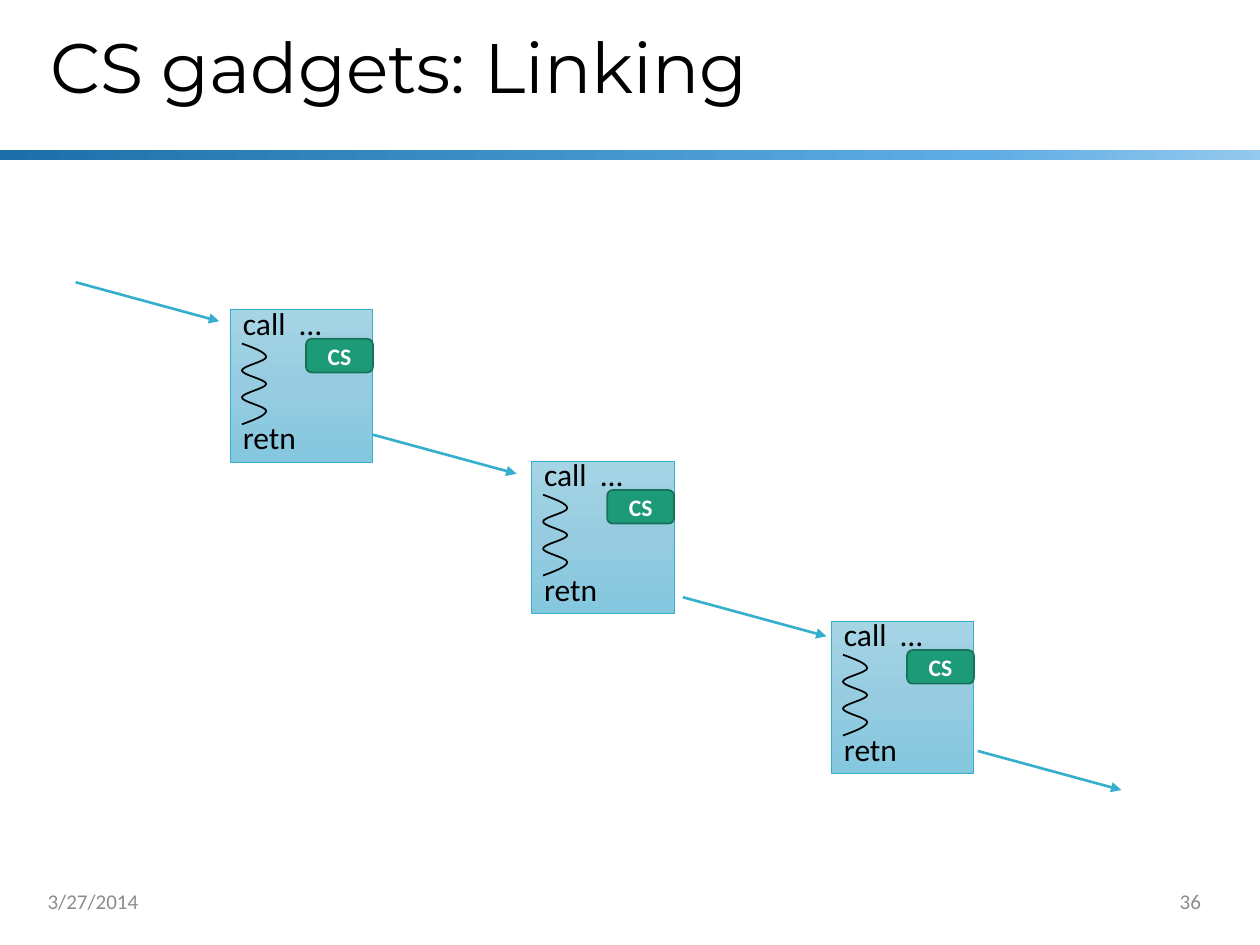
from dataclasses import dataclass
from lxml.etree import SubElement
from pptx import Presentation
from pptx.dml.color import RGBColor
from pptx.enum.shapes import MSO_CONNECTOR as Connector, MSO_SHAPE as Preset
from pptx.enum.text import MSO_ANCHOR as Anchor, PP_ALIGN as Align
from pptx.oxml.ns import qn
from pptx.util import Inches, Pt


@dataclass(frozen=True)
class Theme:
    """Colours, fonts and type sizes."""
    heading_font: str = "Montserrat"
    body_font: str = "Calibri"
    title_size: float = 40
    code_size: float = 18
    label_size: float = 13.5
    footer_size: float = 12
    ink: str = "000000"
    paper: str = "FFFFFF"
    muted: str = "8C8C8C"
    accent: str = "36AFCE"
    label: str = "1D9A78"
    label_edge: str = "157259"
    band: tuple = ((0, "1D6FA9"), (78, "5FADE4"), (100, "94C8ED"))
    panel: tuple = ((0, "A5D4E5"), (50, "97CCE0"), (100, "83C7DF"))


@dataclass(frozen=True)
class Box:
    """A rectangle measured in EMU."""
    left: int
    top: int
    width: int
    height: int

    def share(self, left, top, width, height):
        """Return the box at the given shares of this one."""
        return Box(int(self.left + left * self.width), int(self.top + top * self.height),
                   int(width * self.width), int(height * self.height))

    def area(self, left, top, width, height, columns=100, rows=75):
        """Return the box covering the given columns and rows."""
        return self.share(left / columns, top / rows, width / columns, height / rows)

    def edges(self):
        """Return left, top, width and height."""
        return self.left, self.top, self.width, self.height


THEME = Theme()
ARROW_SPAN = (11.4, 3.1)
ARROW_STARTS = ((6, 22.4), (29.6, 34.5), (54.2, 47.4), (77.6, 59.6))
GADGET_SPAN = (11.3, 12.1)
GADGET_STARTS = ((18.3, 24.6), (42.2, 36.6), (66, 49.3))


def color(value):
    """Turn a hex value into a colour."""
    return RGBColor.from_string(value)


def set_line(line, value, width):
    """Give a line its colour and width."""
    line.color.rgb = color(value)
    line.width = Pt(width)


def set_gradient(shape, stops, angle):
    """Fill a shape with a linear gradient."""
    shape.fill.gradient()
    shape.fill.gradient_angle = angle
    stop_list = shape._element.spPr.find(qn("a:gradFill")).find(qn("a:gsLst"))
    for old in list(stop_list):
        stop_list.remove(old)
    for position, value in stops:
        stop = SubElement(stop_list, qn("a:gs"), pos=str(position * 1000))
        SubElement(stop, qn("a:srgbClr"), val=value)


def add_preset(shapes, preset, box):
    """Add a preset shape without a shadow."""
    shape = shapes.add_shape(preset, *box.edges())
    shape.shadow.inherit = False
    return shape


def write(shape, lines, size, value, anchor=Anchor.MIDDLE, align=Align.LEFT,
          font=THEME.body_font, bold=False):
    """Write lines into a shape and return their paragraphs."""
    frame = shape.text_frame
    frame.word_wrap = True
    frame.vertical_anchor = anchor
    frame.text = "\n".join(lines)
    for paragraph in frame.paragraphs:
        paragraph.alignment = align
        paragraph.font.name = font
        paragraph.font.size = Pt(size)
        paragraph.font.bold = bold
        paragraph.font.color.rgb = color(value)
    return frame.paragraphs


def add_header(slide, box):
    """Place the title above its gradient band."""
    band = add_preset(slide.shapes, Preset.RECTANGLE, box.share(0, 0.94, 1, 0.06))
    set_gradient(band, THEME.band, 0)
    band.line.fill.background()
    title = slide.shapes.add_textbox(*box.share(0.03, 0, 0.93, 0.89).edges())
    paragraph, = write(title, ["CS gadgets: Linking"], THEME.title_size, THEME.ink,
                       font=THEME.heading_font)
    paragraph.line_spacing = 0.9


def add_footer(slide, box):
    """Place the date and the slide number at the two ends."""
    for left, text, align in ((0, "3/27/2014", Align.LEFT), (0.76, "36", Align.RIGHT)):
        field = slide.shapes.add_textbox(*box.share(left, 0, 0.24, 1).edges())
        write(field, [text], THEME.footer_size, THEME.muted, align=align)


def add_wave(shapes, box, swings=6):
    """Draw a curve that swings from side to side down the box."""
    xs = [index % 2 * box.width for index in range(swings + 1)]
    ys = [index * box.height // swings for index in range(swings + 1)]
    builder = shapes.build_freeform(xs[0], ys[0])
    builder.add_line_segments(list(zip(xs[1:], ys[1:])), close=False)
    wave = builder.convert_to_shape(box.left, box.top)
    wave.shadow.inherit = False
    wave.fill.background()
    set_line(wave.line, THEME.ink, 1)
    middle = box.width // 2
    third = box.height // swings // 3
    for index, segment in enumerate(list(wave._element.iter(qn("a:lnTo")))):
        leave = middle if index == 0 else xs[index]
        arrive = middle if index == swings - 1 else xs[index + 1]
        curve = SubElement(segment.getparent(), qn("a:cubicBezTo"))
        for x, y in ((leave, ys[index] + third), (arrive, ys[index + 1] - third),
                     (xs[index + 1], ys[index + 1])):
            SubElement(curve, qn("a:pt"), x=str(x), y=str(y))
        segment.getparent().replace(segment, curve)


def add_gadget(slide, box):
    """Place a code panel with its wave and CS label."""
    shapes = slide.shapes.add_group_shape().shapes
    panel = add_preset(shapes, Preset.RECTANGLE, box)
    set_gradient(panel, THEME.panel, 270)
    set_line(panel.line, THEME.accent, 0.5)
    paragraphs = write(panel, ["call  …", "retn"], THEME.code_size, THEME.ink, Anchor.BOTTOM)
    paragraphs[1].space_before = Pt(44)
    add_wave(shapes, box.share(0.08, 0.22, 0.17, 0.53))
    label = add_preset(shapes, Preset.ROUNDED_RECTANGLE, box.share(0.53, 0.19, 0.47, 0.22))
    label.fill.solid()
    label.fill.fore_color.rgb = color(THEME.label)
    set_line(label.line, THEME.label_edge, 1)
    frame = label.text_frame
    frame.margin_left = frame.margin_right = frame.margin_top = frame.margin_bottom = 0
    write(label, ["CS"], THEME.label_size, THEME.paper, align=Align.CENTER, bold=True)


def add_arrow(slide, box):
    """Draw an arrow down the diagonal of the box."""
    arrow = slide.shapes.add_connector(Connector.STRAIGHT, box.left, box.top,
                                       box.left + box.width, box.top + box.height)
    set_line(arrow.line, THEME.accent, 1.5)
    outline = arrow._element.spPr.find(qn("a:ln"))
    SubElement(outline, qn("a:tailEnd"), type="triangle")
    SubElement(arrow._element.spPr, qn("a:effectLst"))


def add_chain(slide, box):
    """Place the gadgets and the arrows that link them."""
    for start in GADGET_STARTS:
        add_gadget(slide, box.area(*start, *GADGET_SPAN))
    for start in ARROW_STARTS:
        add_arrow(slide, box.area(*start, *ARROW_SPAN))


def main():
    """Build and save the presentation."""
    presentation = Presentation()
    presentation.slide_width, presentation.slide_height = Inches(10), Inches(7.5)
    slide = presentation.slides.add_slide(presentation.slide_layouts[6])
    page = Box(0, 0, presentation.slide_width, presentation.slide_height)
    add_header(slide, page.area(0, 0, 100, 12.7))
    add_chain(slide, page)
    add_footer(slide, page.area(2.8, 69.5, 93.5, 4))
    presentation.save("out.pptx")


if __name__ == "__main__":
    main()
